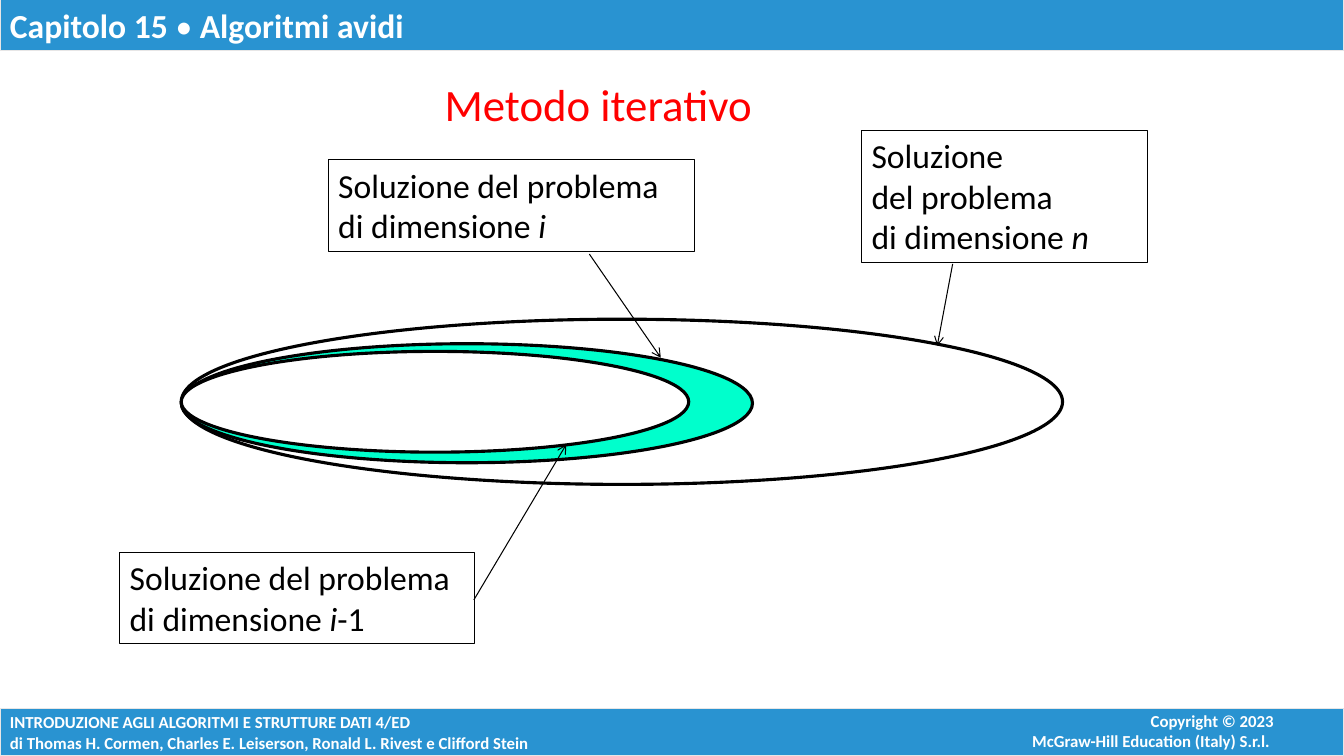
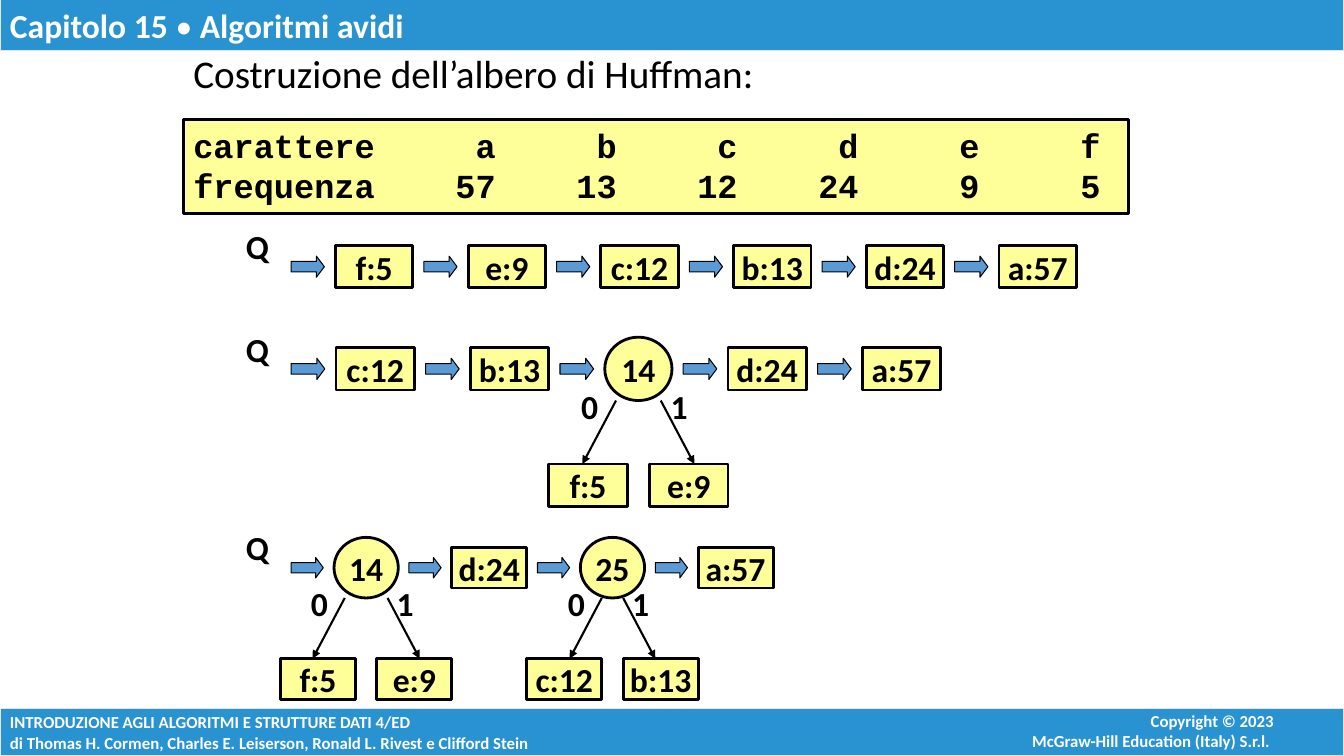
from dataclasses import dataclass

from lxml import etree
from pptx import Presentation
from pptx.dml.color import RGBColor
from pptx.enum import shapes, text
from pptx.oxml.ns import qn
from pptx.util import Pt

WIDTH, HEIGHT = 960, 540
RECT, OVAL = shapes.MSO_SHAPE.RECTANGLE, shapes.MSO_SHAPE.OVAL
ARROW = shapes.MSO_SHAPE.RIGHT_ARROW
TOP, MIDDLE = text.MSO_ANCHOR.TOP, text.MSO_ANCHOR.MIDDLE
LEFT, CENTER, RIGHT = text.PP_ALIGN.LEFT, text.PP_ALIGN.CENTER, text.PP_ALIGN.RIGHT


@dataclass(frozen=True)
class Theme:
    band: str = "2993D1"
    band_edge: str = "E7E6E6"
    white: str = "FFFFFF"
    ink: str = "000000"
    title: str = "FF0000"
    growth: str = "00FFCC"
    node: str = "FFFF99"
    arrow: str = "5B9BD5"
    font: str = "Calibri"
    mono: str = "Courier New"
    small: int = 12
    body: int = 24
    lead: int = 28
    heading: int = 32


class Deck:
    def __init__(self, theme):
        self.theme = theme
        self.prs = Presentation()
        self.prs.slide_width, self.prs.slide_height = Pt(WIDTH), Pt(HEIGHT)
        self.slide = None

    def new_slide(self):
        """Start a slide with the header and footer bands."""
        t = self.theme
        self.slide = self.prs.slides.add_slide(self.prs.slide_layouts[6])
        strong = {"color": t.white, "bold": True}
        small = {**strong, "size": t.small}
        footer = self.shape(RECT, (0, 506, WIDTH, 34), t.band, t.band_edge)
        self.set_text(footer, [[
            "INTRODUZIONE AGLI ALGORITMI E STRUTTURE DATI 4/ED\n"
            "di Thomas H. Cormen, Charles E. Leiserson, Ronald L. Rivest e Clifford Stein",
        ]], anchor=MIDDLE, **small)
        self.label((640, 504, 277, 36), [
            ["Copyright © 2023"],
            ["McGraw-Hill Education (Italy) S.r.l. "],
        ], align=RIGHT, **small)
        header = self.shape(RECT, (0, 0, WIDTH, 36), t.band, t.band_edge)
        self.set_text(header, [[
            "Capitolo 15 ", ("•", {"bold": False}), " Algoritmi avidi",
        ]], **strong)

    def shape(self, kind, box, fill=None, line=None, weight=0.75):
        item = self.slide.shapes.add_shape(kind, *map(Pt, box))
        item.shadow.inherit = False
        if fill:
            item.fill.solid()
            item.fill.fore_color.rgb = RGBColor.from_string(fill)
        else:
            item.fill.background()
        item.line.color.rgb = RGBColor.from_string(line or self.theme.ink)
        item.line.width = Pt(weight)
        return item

    def set_text(self, item, paragraphs, anchor=TOP, align=LEFT, wrap=True, tabs=(), **style):
        """Fill a shape; a paragraph lists strings or (string, format) pairs."""
        frame = item.text_frame
        frame.word_wrap, frame.vertical_anchor = wrap, anchor
        for index, pieces in enumerate(paragraphs):
            paragraph = frame.paragraphs[0] if index == 0 else frame.add_paragraph()
            paragraph.alignment = align
            if tabs:
                self.set_tabs(paragraph, tabs)
            for piece in pieces:
                words, extra = piece if isinstance(piece, tuple) else (piece, {})
                for number, part in enumerate(words.split("\n")):
                    if number:
                        paragraph.add_line_break()
                    run = paragraph.add_run()
                    run.text = part
                    self.style_font(run.font, {**style, **extra})

    def style_font(self, font, style):
        values = {"name": self.theme.font, "size": self.theme.body,
                  "color": self.theme.ink, **style}
        values["size"] = Pt(values["size"])
        font.color.rgb = RGBColor.from_string(values.pop("color"))
        for key, value in values.items():
            setattr(font, key, value)

    def set_tabs(self, paragraph, stops):
        """Add right-aligned tab stops."""
        tab_list = etree.SubElement(paragraph._p.get_or_add_pPr(), qn("a:tabLst"))
        for stop in stops:
            etree.SubElement(tab_list, qn("a:tab"), pos=str(int(Pt(stop))), algn="r")

    def label(self, box, paragraphs, **style):
        self.set_text(self.slide.shapes.add_textbox(*map(Pt, box)), paragraphs, **style)

    def pointer(self, start, end, weight=0.75, head="arrow"):
        link = self.slide.shapes.add_connector(
            shapes.MSO_CONNECTOR.STRAIGHT, *map(Pt, (*start, *end)))
        link.line.color.rgb = RGBColor.from_string(self.theme.ink)
        link.line.width = Pt(weight)
        properties = link._element.spPr
        etree.SubElement(properties.get_or_add_ln(), qn("a:tailEnd"), type=head)
        etree.SubElement(properties, qn("a:effectLst"))

    def callout(self, box, words, start, end):
        self.set_text(self.shape(RECT, box), [words])
        self.pointer(start, end)

    def node(self, kind, center, size, name):
        (x, y), (w, h) = center, size
        item = self.shape(kind, (x - w / 2, y - h / 2, w, h), self.theme.node, weight=2)
        self.set_text(item, [[name]], anchor=MIDDLE, align=CENTER, wrap=False, bold=True)

    def branches(self, x, y, unit, children, spread):
        """Hang two leaves, with edges marked 0 and 1, below a tree root."""
        leaf_top = y + 8.5 * unit
        for side, bit, child in zip((-1, 1), "01", children):
            self.pointer((x + side * spread * unit, y + 2.83 * unit),
                         (x + side * (spread + 3) * unit, leaf_top), 1.5, "triangle")
            self.node(RECT, (x + side * 4.5 * unit, leaf_top + 1.9 * unit),
                      (7 * unit, 3.8 * unit), child)
            mark_x = x + side * (spread + 2) * unit - 1.5
            self.label((mark_x - 14.5, y + 3.3 * unit - 20.5, 29, 41), [[bit]],
                       anchor=MIDDLE, wrap=False, bold=True)

    def queue(self, y, unit, entries):
        """Draw a queue; an entry is a name or (root, children, spread)."""
        self.label((168.5, y - 39.5, 36, 50), [["Q"]],
                   anchor=MIDDLE, wrap=False, bold=True)
        x = 208
        for entry in entries:
            arrow = self.shape(ARROW, (x, y - 0.95 * unit, 3 * unit, 1.9 * unit),
                               self.theme.arrow)
            arrow.adjustments[0], arrow.adjustments[1] = 0.5, 0.375
            x += 4 * unit
            is_tree = isinstance(entry, tuple)
            width = (6 if is_tree else 7) * unit
            center = x + width / 2
            if is_tree:
                root, children, spread = entry
                self.node(OVAL, (center, y), (width, 5.66 * unit), root)
                self.branches(center, y, unit, children, spread)
            else:
                self.node(RECT, (center, y), (width, 3.8 * unit), entry)
            x += width + unit


def iterative_method(deck):
    t = deck.theme
    deck.new_slide()
    deck.label((310.5, 51, 236, 46), [["Metodo iterativo"]],
               wrap=False, color=t.title, size=t.heading)
    for top, width, height, fill in (
        (228, 629.5, 118, None),
        (245.5, 408, 85, t.growth),
        (251, 362.5, 72, t.white),
    ):
        deck.shape(OVAL, (129.5, top, width, height), fill, weight=2.25)
    italic = {"italic": True}
    two_lines = "Soluzione del problema\ndi dimensione "
    for box, words, start, end in (
        ((615.5, 93, 204.5, 94.5),
         ["Soluzione\ndel problema\ndi dimensione ", ("n", italic)],
         (680.5, 188.5), (669.5, 247)),
        ((234.5, 114, 261.5, 65.5), [two_lines, ("i", italic)],
         (421, 181.5), (472, 255.5)),
        ((85.5, 394.5, 253.5, 65.5), [two_lines, ("i", italic), "-1"],
         (338.5, 428.5), (404.5, 317.5)),
    ):
        deck.callout(box, words, start, end)


def huffman_tree(deck):
    t = deck.theme
    deck.new_slide()
    deck.label((131, 32, 672, 41), [["Costruzione dell’albero di Huffman:"]], size=t.lead)
    frequencies = {"a": 57, "b": 13, "c": 12, "d": 24, "e": 9, "f": 5}
    rows = (["carattere", *frequencies], ["frequenza", *map(str, frequencies.values())])
    panel = deck.shape(RECT, (131, 85.5, 675, 67), t.node, weight=2)
    deck.set_text(panel, [["\t".join(row)] for row in rows],
                  tabs=[216 + 86.4 * column for column in range(len(frequencies))],
                  name=t.mono, bold=True)
    f_e = ("14", ("f:5", "e:9"), 2)
    c_b = ("25", ("c:12", "b:13"), 1)
    for y, unit, entries in (
        (190.5, 7.9, ["f:5", "e:9", "c:12", "b:13", "d:24", "a:57"]),
        (263.5, 8, ["c:12", "b:13", f_e, "d:24", "a:57"]),
        (405.5, 7.65, [f_e, "d:24", c_b, "a:57"]),
    ):
        deck.queue(y, unit, entries)


def main():
    deck = Deck(Theme())
    iterative_method(deck)
    huffman_tree(deck)
    deck.prs.save("out.pptx")


if __name__ == "__main__":
    main()
